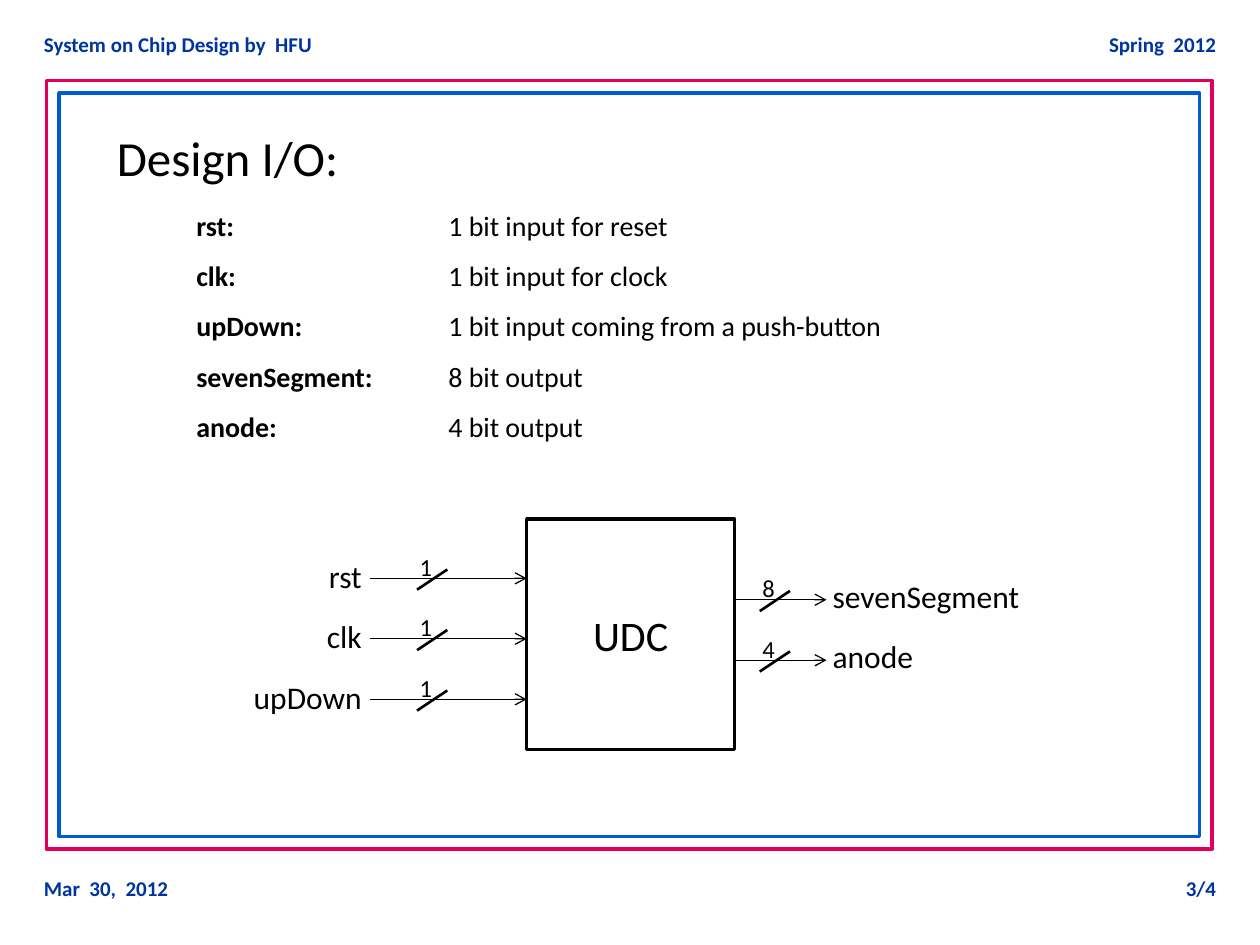
from lxml import etree
from pptx import Presentation
from pptx.dml.color import RGBColor
from pptx.enum.shapes import MSO_CONNECTOR, MSO_SHAPE
from pptx.enum.text import MSO_ANCHOR, PP_ALIGN
from pptx.oxml.ns import qn
from pptx.util import Inches, Pt

LEFT, CENTER, RIGHT = PP_ALIGN.LEFT, PP_ALIGN.CENTER, PP_ALIGN.RIGHT
MIDDLE = MSO_ANCHOR.MIDDLE
RECT, STRAIGHT = MSO_SHAPE.RECTANGLE, MSO_CONNECTOR.STRAIGHT
FONT = "Calibri"
BLACK, NAVY, BLUE, PINK = "000000", "00349E", "005BD3", "E40059"
W, H = 10, 7.5
PORTS = [
    ("rst", "1 bit input for reset"),
    ("clk", "1 bit input for clock"),
    ("upDown", "1 bit input coming from a push-button"),
    ("sevenSegment", "8 bit output"),
    ("anode", "4 bit output"),
]
INPUTS = [("rst", "1"), ("clk", "1"), ("upDown", "1")]
OUTPUTS = [("sevenSegment", "8"), ("anode", "4")]


def rgb(color):
    """Return the colour of a hex string."""
    return RGBColor.from_string(color)


def style(r, size, color=BLACK, bold=False):
    """Set the font of one run."""
    r.font.name, r.font.size, r.font.bold = FONT, Pt(size), bold
    r.font.color.rgb = rgb(color)


def add_text(s, box, text, size, align=LEFT, color=BLACK, bold=False, wrap=False):
    """Add a one-line text box."""
    tf = s.shapes.add_textbox(*map(Inches, box)).text_frame
    tf.word_wrap = wrap
    p = tf.paragraphs[0]
    p.text, p.alignment = text, align
    style(p.runs[0], size, color, bold)


def add_rect(s, box, color):
    """Add an unfilled rectangle with a 2 pt outline."""
    sp = s.shapes.add_shape(RECT, *map(Inches, box))
    sp.shadow.inherit = False
    sp.fill.background()
    sp.line.color.rgb, sp.line.width = rgb(color), Pt(2)
    return sp


def add_line(s, x1, y1, x2, y2, width, arrow=False):
    """Add a straight black line, with an arrowhead at its end if asked."""
    cx = s.shapes.add_connector(STRAIGHT, *map(Inches, (x1, y1, x2, y2)))
    cx.line.color.rgb, cx.line.width = rgb(BLACK), Pt(width)
    if arrow:
        etree.SubElement(cx.line._get_or_add_ln(), qn("a:tailEnd"), type="arrow")
    etree.SubElement(cx._element.spPr, qn("a:effectLst"))


def add_frame(s, left, top, width, height, gap=0.1):
    """Draw the double frame."""
    add_rect(s, (left, top, width, height), PINK)
    add_rect(s, (left + gap, top + gap, width - 2 * gap, height - 2 * gap), BLUE)


def add_margin_line(s, left, top, width, start, end):
    """Place the header or footer texts at both ends of a strip."""
    half = width / 2
    for x, text, align in ((left, start, LEFT), (left + half, end, RIGHT)):
        add_text(s, (x, top, half, 0.3), text, 12, align, NAVY, True, True)


def add_port_list(s, left, top, width, height):
    """List the ports with their descriptions at a tab stop."""
    tf = s.shapes.add_textbox(*map(Inches, (left, top, width, height))).text_frame
    tf.word_wrap = True
    for i, (name, description) in enumerate(PORTS):
        p = tf.add_paragraph() if i else tf.paragraphs[0]
        p.line_spacing = 1.5
        tabs = etree.SubElement(p._p.get_or_add_pPr(), qn("a:tabLst"))
        etree.SubElement(tabs, qn("a:tab"), pos=str(Inches(2)), algn="l")
        for text, bold in ((f"{name}:\t", True), (description, False)):
            r = p.add_run()
            r.text = text
            style(r, 16, bold=bold)


def add_wire(s, x1, x2, y, slash_x, bits):
    """Draw a signal arrow with its bus slash and bit count."""
    add_line(s, x1, y, x2, y, 0.75, True)
    add_line(s, slash_x + 0.12, y - 0.07, slash_x - 0.12, y + 0.09, 1.5)
    add_text(s, (slash_x - 0.2, y - 0.26, 0.3, 0.34), bits, 14, CENTER)


def add_block_diagram(s, left, top, width, height, pitch=0.48):
    """Draw the block with its inputs on the left and outputs on the right."""
    tf = add_rect(s, (left, top, width, height), BLACK).text_frame
    tf.vertical_anchor = MIDDLE
    p = tf.paragraphs[0]
    p.text, p.alignment = "UDC", CENTER
    style(p.runs[0], 24)
    right = left + width
    for i, (name, bits) in enumerate(INPUTS):
        y = top + 0.47 + i * pitch
        add_wire(s, left - 1.24, left, y, left - 0.75, bits)
        add_text(s, (left - 2.28, y - 0.22, 1.07, 0.4), name, 18, RIGHT)
    for i, (name, bits) in enumerate(OUTPUTS):
        y = top + 0.64 + i * pitch
        add_wire(s, right, right + 0.73, y, right + 0.32, bits)
        add_text(s, (right + 0.68, y - 0.23, 1.72, 0.4), name, 18)


prs = Presentation()
prs.slide_width, prs.slide_height = Inches(W), Inches(H)
s = prs.slides.add_slide(prs.slide_layouts[6])
add_frame(s, 0.37, 0.64, 9.25, 6.1)
add_margin_line(s, 0.25, 0.2, W - 0.5, "System on Chip Design by  HFU", "Spring  2012")
add_margin_line(s, 0.25, 6.9, W - 0.5, "Mar  30,  2012", "3/4")
add_text(s, (0.83, 0.96, 1.97, 0.57), "Design I/O:", 28)
add_port_list(s, 1.46, 1.47, 6.41, 2.12)
add_block_diagram(s, 4.18, 4.12, 1.65, 1.83)
prs.save("out.pptx")
